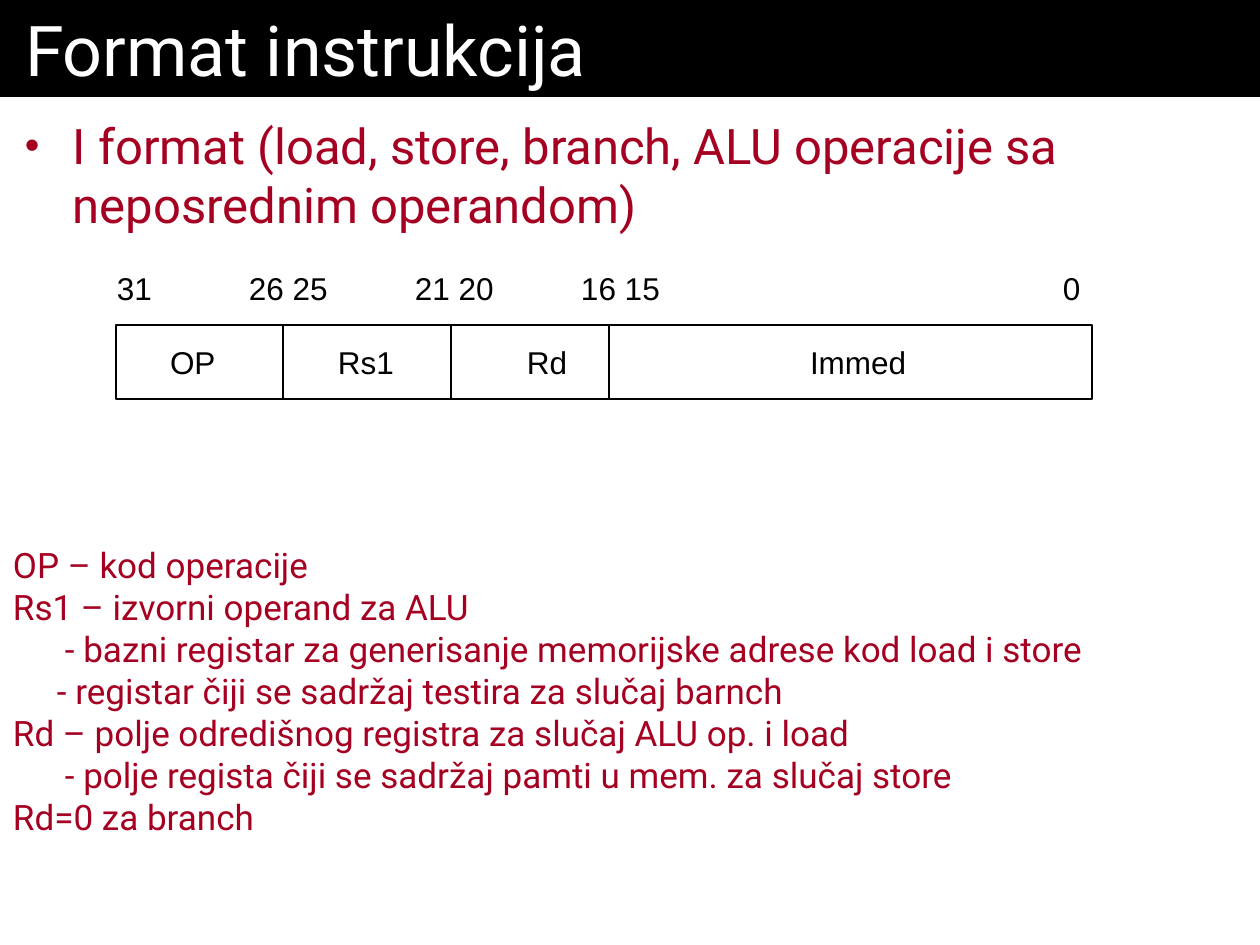
from typing import NamedTuple

from lxml import etree
from pptx import Presentation, util as u
from pptx.dml.color import RGBColor
from pptx.enum import shapes, text
from pptx.oxml import ns

PX = 914400 / 126  # EMU in one px
BLACK = RGBColor(0x00, 0x00, 0x00)
WHITE = RGBColor(0xFF, 0xFF, 0xFF)
RED = RGBColor(0xA5, 0x00, 0x21)


class Box(NamedTuple):
    x: int
    y: int
    w: int
    h: int


class Style(NamedTuple):
    face: str
    size: int
    color: RGBColor


class Field(NamedTuple):
    name: str
    x: int
    w: int


class Note(NamedTuple):
    words: str
    indent: int = 0


HEAD = Style("Roboto", 40, WHITE)
LEAD = Style("Roboto", 28, RED)
BODY = Style("Roboto", 20, RED)
LABEL = Style("Arial", 18, BLACK)

BAR = Box(116, 325, 976, 74)
CUTS = [283, 451, 609]
FIELDS = [Field("OP", 157, 80), Field("Rs1", 325, 90),
          Field("Rd", 514, 75), Field("Immed", 797, 135)]
BITS = ["31", "26 25", "21 20", "16 15", "0"]
STOPS = [132, 298, 464, 946]
NOTES = [
    Note("OP – kod operacije"),
    Note("Rs1 – izvorni operand za ALU"),
    Note("- bazni registar za generisanje memorijske adrese kod load i store", 52),
    Note("- registar čiji se sadržaj testira za slučaj barnch", 44),
    Note("Rd – polje odredišnog registra za slučaj ALU op. i load"),
    Note("- polje regista čiji se sadržaj pamti u mem. za slučaj store", 52),
    Note("Rd=0 za branch"),
]


def emu(px: int) -> u.Emu:
    return u.Emu(round(px * PX))


def place(shape, box: Box) -> None:
    shape.left, shape.top, shape.width, shape.height = map(emu, box)


def pad(frame, side: int, edge: int) -> None:
    frame.margin_left = frame.margin_right = emu(side)
    frame.margin_top = frame.margin_bottom = emu(edge)


def paint(para, style: Style) -> None:
    para.alignment = text.PP_ALIGN.LEFT
    for run in para.runs:
        run.font.name = style.face
        run.font.size = u.Pt(style.size)
        run.font.color.rgb = style.color


def add_text(slide, box: Box, lines: list[str], style: Style):
    frame = slide.shapes.add_textbox(*map(emu, box)).text_frame
    frame.word_wrap = True
    pad(frame, 13, 6)
    frame.text = "\n".join(lines)
    for para in frame.paragraphs:
        paint(para, style)
    return frame


def add_bullet(para, hang: int) -> None:
    props = para._p.get_or_add_pPr()
    props.set("marL", str(emu(hang)))
    props.set("indent", str(-emu(hang)))
    color = etree.SubElement(props, ns.qn("a:buClr"))
    etree.SubElement(color, ns.qn("a:srgbClr"), val=str(RED))
    etree.SubElement(props, ns.qn("a:buSzPct"), val="85000")
    etree.SubElement(props, ns.qn("a:buFont"), typeface="Arial")
    etree.SubElement(props, ns.qn("a:buChar"), char="•")


def add_tabs(para, stops: list[int]) -> None:
    tabs = etree.SubElement(para._p.get_or_add_pPr(), ns.qn("a:tabLst"))
    for stop in stops:
        etree.SubElement(tabs, ns.qn("a:tab"), pos=str(emu(stop)), algn="l")


def add_cut(slide, x: int) -> None:
    line = slide.shapes.add_connector(
        shapes.MSO_CONNECTOR.STRAIGHT,
        emu(x), emu(BAR.y), emu(x), emu(BAR.y + BAR.h))
    line.line.color.rgb = BLACK
    line.line.width = u.Pt(0.75)
    etree.SubElement(line._element.spPr, ns.qn("a:effectLst"))


def main() -> None:
    deck = Presentation()
    deck.slide_width, deck.slide_height = u.Inches(10), u.Inches(7.5)
    slide = deck.slides.add_slide(deck.slide_layouts[5])

    # Title band
    title = slide.shapes.title
    place(title, Box(0, 0, 1260, 97))
    title.fill.solid()
    title.fill.fore_color.rgb = BLACK
    frame = title.text_frame
    frame.text = "Format instrukcija"
    frame.auto_size = text.MSO_AUTO_SIZE.NONE
    frame.vertical_anchor = text.MSO_ANCHOR.MIDDLE
    pad(frame, 25, 6)
    paint(frame.paragraphs[0], HEAD)

    # Lead bullet
    lead = add_text(slide, Box(0, 97, 1260, 848), [
        "I format (load, store, branch, ALU operacije sa neposrednim operandom)",
    ], LEAD)
    pad(lead, 25, 19)
    add_bullet(lead.paragraphs[0], 48)

    # Instruction word with its fields
    bar = slide.shapes.add_shape(shapes.MSO_SHAPE.RECTANGLE, *map(emu, BAR))
    bar.shadow.inherit = False
    bar.fill.solid()
    bar.fill.fore_color.rgb = WHITE
    bar.line.color.rgb = BLACK
    bar.line.width = u.Pt(0.75)
    for x in CUTS:
        add_cut(slide, x)
    for field in FIELDS:
        add_text(slide, Box(field.x, 337, field.w, 50), [field.name], LABEL)

    # Bit numbers
    bits = add_text(slide, Box(104, 263, 997, 50), ["\t".join(BITS)], LABEL)
    add_tabs(bits.paragraphs[0], STOPS)

    # Meaning of the fields
    notes = add_text(slide, Box(0, 537, 1134, 408), [n.words for n in NOTES], BODY)
    for para, note in zip(notes.paragraphs, NOTES):
        para._p.get_or_add_pPr().set("marL", str(emu(note.indent)))

    deck.save("out.pptx")


if __name__ == "__main__":
    main()
